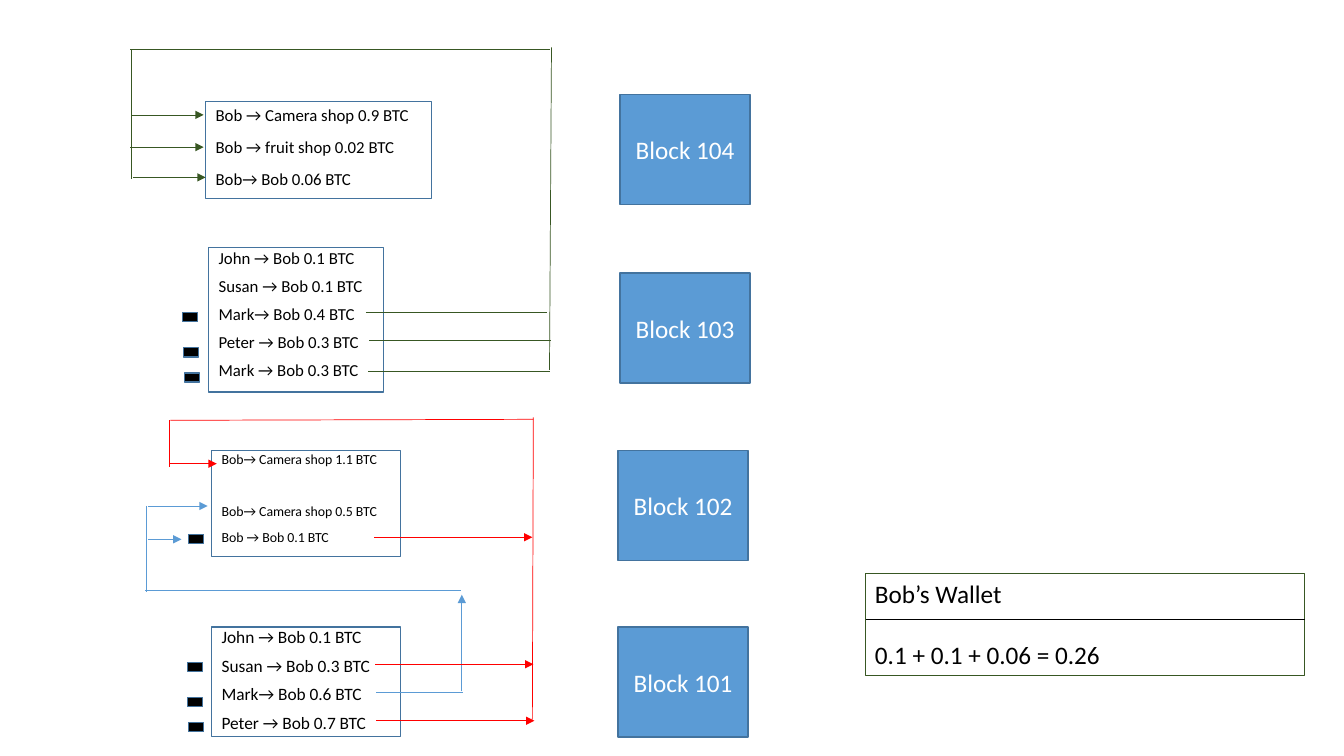
from lxml import etree
from pptx import Presentation
from pptx.dml.color import RGBColor
from pptx.enum.shapes import MSO_CONNECTOR, MSO_SHAPE
from pptx.enum.text import MSO_ANCHOR, PP_ALIGN
from pptx.oxml.ns import qn
from pptx.util import Pt

RECTANGLE = MSO_SHAPE.RECTANGLE
STRAIGHT = MSO_CONNECTOR.STRAIGHT
LEFT, CENTER = PP_ALIGN.LEFT, PP_ALIGN.CENTER
TOP, MIDDLE = MSO_ANCHOR.TOP, MSO_ANCHOR.MIDDLE

PX = 9144  # 100 px to the inch
BLUE, EDGE, GREEN = "5B9BD5", "43739E", "385723"
RED, BLACK, WHITE = "FF0000", "000000", "FFFFFF"

presentation = Presentation()
presentation.slide_width = 1333 * PX
presentation.slide_height = 750 * PX
slide = presentation.slides.add_slide(presentation.slide_layouts[6])


def color(value):
    return RGBColor.from_string(value)


def add_box(bounds, edge, edge_width, fill=None, lines=(), size=12, ink=BLACK,
            align=LEFT, anchor=TOP, spacing=1.0, gaps=()):
    """Draw a rectangle; gaps holds the space in points before each line of text."""
    shape = slide.shapes.add_shape(RECTANGLE, *[value * PX for value in bounds])
    shape.shadow.inherit = False
    if fill:
        shape.fill.solid()
        shape.fill.fore_color.rgb = color(fill)
    else:
        shape.fill.background()
    shape.line.color.rgb = color(edge)
    shape.line.width = Pt(edge_width)
    if lines:
        frame = shape.text_frame
        frame.text = "\n".join(lines)
        frame.word_wrap = True
        frame.vertical_anchor = anchor
        for paragraph, gap in zip(frame.paragraphs, gaps):
            paragraph.alignment = align
            paragraph.line_spacing = spacing
            paragraph.space_before = Pt(gap)
            paragraph.font.name = "Calibri"
            paragraph.font.size = Pt(size)
            paragraph.font.color.rgb = color(ink)


# Blocks of the chain
for number, left, top in [(101, 613, 622), (102, 613, 447), (103, 615, 271), (104, 615, 94)]:
    add_box((left, top, 129, 109), EDGE, 1, BLUE, [f"Block {number}"], 18, WHITE,
            CENTER, MIDDLE, gaps=[0])

# Transactions in each block
transactions = [
    ((210, 622, 187, 109), 12.4, 0.7, (0, 10, 10, 10),
     ["John → Bob 0.1 BTC", "Susan → Bob 0.3 BTC", "Mark→ Bob 0.6 BTC",
      "Peter → Bob 0.7 BTC"]),
    ((210, 447, 187, 105), 9.9, 0.7, (0, 28.5, 10),
     ["Bob→ Camera shop 1.1 BTC", "Bob→ Camera shop 0.5 BTC", "Bob → Bob 0.1 BTC"]),
    ((207, 246, 173, 143), 12, 0.7, (0, 10, 10, 10, 10),
     ["John → Bob 0.1 BTC", "Susan → Bob 0.1 BTC", "Mark→ Bob 0.4 BTC",
      "Peter → Bob 0.3 BTC", "Mark → Bob 0.3 BTC"]),
    ((204, 101, 224, 96), 12, 0.9, (0, 10, 10),
     ["Bob → Camera shop 0.9 BTC", "Bob → fruit shop 0.02 BTC", "Bob→ Bob 0.06 BTC"]),
]
for bounds, size, spacing, gaps, lines in transactions:
    add_box(bounds, EDGE, 0.75, lines=lines, size=size, spacing=spacing, gaps=gaps)

# Markers of spent outputs
for left, top in [(187, 717), (186, 692), (186, 657), (187, 530),
                  (183, 370), (182, 345), (181, 310)]:
    add_box((left, top, 15, 9), EDGE, 1, BLACK)

# Wallet
add_box((858, 569, 436, 101), GREEN, 0.75, lines=["Bob’s Wallet", "0.1 + 0.1 + 0.06 = 0.26"],
        size=18, anchor=TOP, gaps=(0, 22))

# Plain lines and arrows, as start x, start y, end x, end y
plain_lines = {
    BLUE: [(373, 687, 459, 687), (144, 586, 457, 586), (145, 502, 145, 587)],
    RED: [(529, 414, 528, 714), (169, 417, 529, 416), (168, 417, 168, 463)],
    GREEN: [(365, 368, 545, 368), (366, 338, 547, 338), (363, 310, 543, 310),
            (547, 47, 545, 367), (129, 49, 546, 49), (130, 50, 130, 178)],
    BLACK: [(859, 614, 1294, 614)],
}
arrows = {
    BLUE: [(458, 686, 458, 590), (147, 502, 206, 502), (147, 535, 180, 535)],
    RED: [(373, 715, 530, 715), (168, 460, 215, 460), (372, 659, 529, 659),
          (371, 533, 528, 533)],
    GREEN: [(132, 176, 204, 176), (129, 146, 202, 146), (130, 114, 202, 114)],
}
for group, has_head in [(plain_lines, False), (arrows, True)]:
    for stroke, segments in group.items():
        for segment in segments:
            connector = slide.shapes.add_connector(STRAIGHT, *[value * PX for value in segment])
            connector.line.color.rgb = color(stroke)
            connector.line.width = Pt(0.5)
            properties = connector.line._get_or_add_ln()
            if has_head:
                etree.SubElement(properties, qn("a:tailEnd"), type="triangle")
            etree.SubElement(properties.getparent(), qn("a:effectLst"))

presentation.save("out.pptx")
